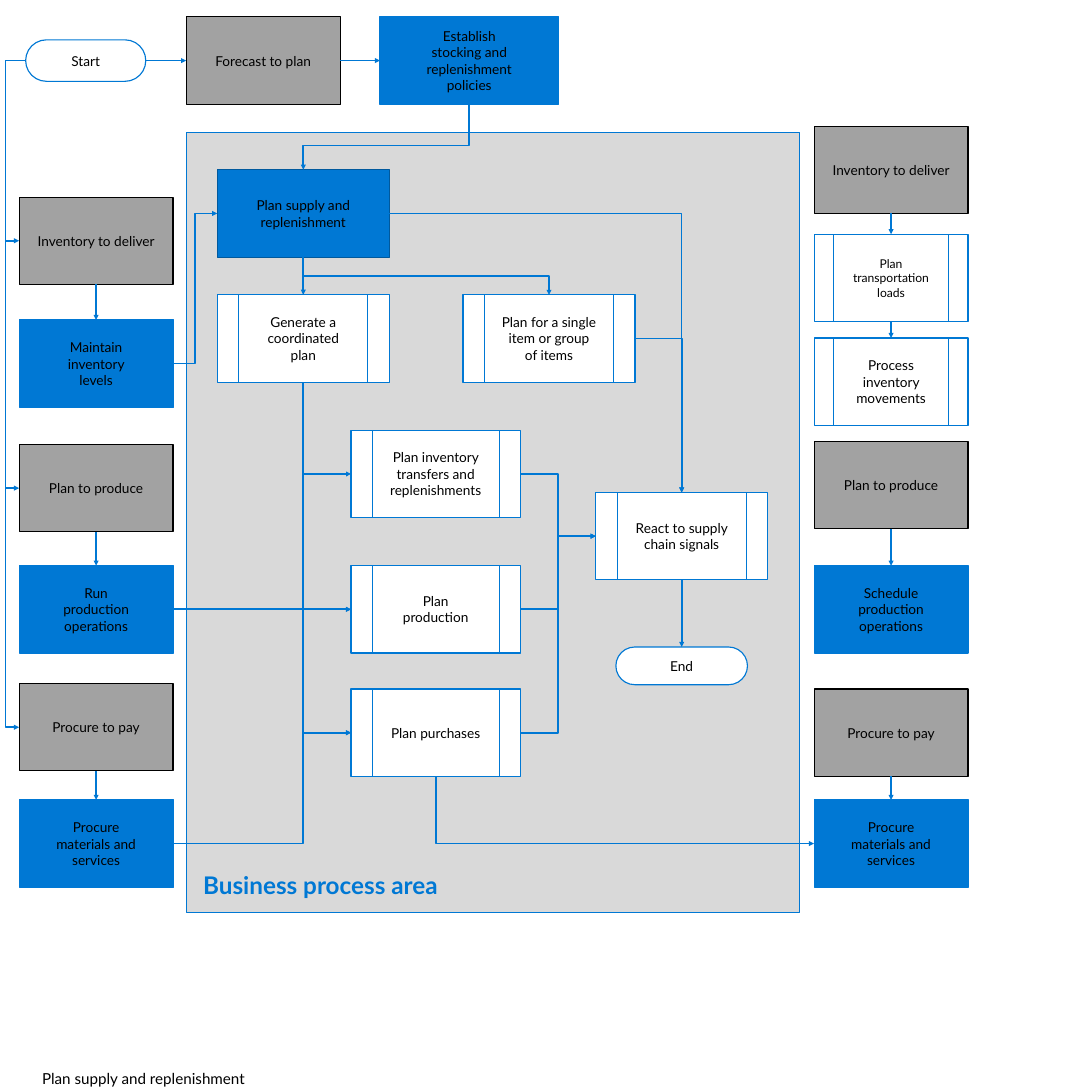
from lxml import etree
from pptx import Presentation, util as u
from pptx.dml.color import RGBColor
from pptx.enum import shapes, text
from pptx.oxml.ns import qn

BLUE = RGBColor(0x00, 0x78, 0xD4)
DARK_BLUE = RGBColor(0x00, 0x59, 0x9D)
GRAY = RGBColor(0xA2, 0xA2, 0xA2)
LIGHT_GRAY = RGBColor(0xD9, 0xD9, 0xD9)
WHITE = RGBColor(0xFF, 0xFF, 0xFF)
BLACK = RGBColor(0x00, 0x00, 0x00)

FONT = "Lato"
SIDE = 20
ROW_HEIGHT = 1.6
TOP, LEFT, BOTTOM, RIGHT = range(4)

# Column: left edge and width in inches
COLUMNS = {
    "left": (0.35, 2.82),
    "start": (0.47, 2.2),
    "forecast": (3.41, 2.82),
    "policies": (6.96, 3.27),
    "supply": (3.98, 3.15),
    "plans": (6.43, 3.1),
    "single": (8.48, 3.15),
    "react": (10.91, 3.15),
    "end": (11.28, 2.41),
    "right": (14.91, 2.82),
}

PROCESS = shapes.MSO_SHAPE.FLOWCHART_PREDEFINED_PROCESS
# Kind: preset shape, fill, line
KINDS = {
    "terminal": (shapes.MSO_SHAPE.ROUNDED_RECTANGLE, WHITE, BLUE),
    "area": (shapes.MSO_SHAPE.RECTANGLE, LIGHT_GRAY, BLUE),
    "scenario": (shapes.MSO_SHAPE.RECTANGLE, GRAY, BLACK),
    "current": (shapes.MSO_SHAPE.RECTANGLE, BLUE, DARK_BLUE),
    "linked": (PROCESS, BLUE, BLUE),
    "process": (PROCESS, WHITE, BLUE),
}

CAPTION = "Plan supply and replenishment"
AREA = ("Business process area", (3.42, 2.42, 11.23, 14.3))

# Key: column, top, kind, wording
STEPS = {
    "start": ("start", 0.73, "terminal", "Start"),
    "forecast": ("forecast", 0.31, "scenario", "Forecast to plan"),
    "policies": ("policies", 0.31, "linked", "Establish stocking and replenishment policies"),
    "supply": ("supply", 3.11, "current", "Plan supply and replenishment"),
    "generate": ("supply", 5.4, "process", "Generate a coordinated plan"),
    "single": ("single", 5.4, "process", "Plan for a single item or group of items"),
    "transfers": ("plans", 7.88, "process", "Plan inventory transfers and replenishments"),
    "production": ("plans", 10.36, "process", "Plan production"),
    "purchases": ("plans", 12.62, "process", "Plan purchases"),
    "react": ("react", 9.02, "process", "React to supply chain signals"),
    "end": ("end", 11.85, "terminal", "End"),
    "deliver in": ("left", 3.61, "scenario", "Inventory to deliver"),
    "maintain": ("left", 5.86, "linked", "Maintain inventory levels"),
    "produce in": ("left", 8.14, "scenario", "Plan to produce"),
    "run": ("left", 10.36, "linked", "Run production operations"),
    "procure in": ("left", 12.52, "scenario", "Procure to pay"),
    "materials in": ("left", 14.65, "linked", "Procure materials and services"),
    "deliver out": ("right", 2.31, "scenario", "Inventory to deliver"),
    "loads": ("right", 4.29, "process", "Plan transportation loads"),
    "movements": ("right", 6.19, "process", "Process inventory movements"),
    "produce out": ("right", 8.08, "scenario", "Plan to produce"),
    "schedule": ("right", 10.36, "linked", "Schedule production operations"),
    "procure out": ("right", 12.62, "scenario", "Procure to pay"),
    "materials out": ("right", 14.65, "linked", "Procure materials and services"),
}
HEIGHTS = {"start": 0.76, "end": 0.69}
FONT_SIZES = {"loads": 16}

# Leaving side, arriving side: pairs of steps
FLOWS = {
    (RIGHT, LEFT): [
        ("start", "forecast"), ("forecast", "policies"), ("maintain", "supply"),
        ("run", "production"), ("materials in", "purchases"),
        ("transfers", "react"), ("production", "react"), ("purchases", "react"),
    ],
    (LEFT, LEFT): [("start", "deliver in"), ("start", "produce in"), ("start", "procure in")],
    (BOTTOM, TOP): [
        ("policies", "supply"), ("supply", "generate"), ("supply", "single"),
        ("deliver in", "maintain"), ("produce in", "run"), ("procure in", "materials in"),
        ("deliver out", "loads"), ("loads", "movements"), ("produce out", "schedule"),
        ("procure out", "materials out"), ("react", "end"),
    ],
    (BOTTOM, LEFT): [
        ("generate", "transfers"), ("generate", "production"), ("generate", "purchases"),
        ("purchases", "materials out"),
    ],
    (RIGHT, TOP): [("single", "react"), ("supply", "react")],
}
# Where the middle leg of an elbow lies, as a share of the way
BENDS = {
    ("start", "deliver in"): 3.07, ("start", "produce in"): 3.07, ("start", "procure in"): 3.07,
    ("policies", "supply"): 0.63, ("materials in", "purchases"): 0.73,
}


def apply(target, values):
    for name, value in values.items():
        setattr(target, name, value)


def write(shape, wording, size, color, bold, alignment, anchor, insets=(0.3, 0.24)):
    frame = shape.text_frame
    across, down = map(u.Inches, insets)
    apply(frame, dict(text=wording, word_wrap=True, vertical_anchor=anchor,
                      margin_left=across, margin_right=across, margin_top=down, margin_bottom=down))
    paragraph = frame.paragraphs[0]
    paragraph.alignment = alignment
    apply(paragraph.runs[0].font, dict(name=FONT, size=u.Pt(size), bold=bold))
    paragraph.runs[0].font.color.rgb = color


def add_box(slide, kind, place):
    preset, fill, line = KINDS[kind]
    shape = slide.shapes.add_shape(preset, *map(u.Inches, place))
    shape.shadow.inherit = False
    shape.fill.solid()
    shape.fill.fore_color.rgb = fill
    shape.line.color.rgb = line
    shape.line.width = u.Pt(1.5)
    if kind == "terminal":
        shape.adjustments[0] = 0.5
    return shape


def side_point(shape, side):
    across, down = {TOP: (1, 0), LEFT: (0, 1), BOTTOM: (1, 2), RIGHT: (2, 1)}[side]
    return shape.left + shape.width * across // 2, shape.top + shape.height * down // 2


def turn_downward(connector, xfrm, begin, end):
    """Rotate an elbow a quarter turn so that it leaves its first step downward."""
    run, drop = end[0] - begin[0], end[1] - begin[1]
    apply(connector, dict(left=(begin[0] + end[0] - drop) // 2,
                          top=(begin[1] + end[1] - abs(run)) // 2,
                          width=drop, height=abs(run)))
    xfrm.attrib.pop("flipH", None)
    xfrm.set("rot", str(90 * 60000))
    xfrm.set("flipV", "1" if run > 0 else "0")


def add_flow(slide, source, target, leave, arrive, bend):
    begin, end = side_point(source, leave), side_point(target, arrive)
    straight = min(abs(end[0] - begin[0]), abs(end[1] - begin[1])) < u.Inches(0.03)
    kind = shapes.MSO_CONNECTOR.STRAIGHT if straight else shapes.MSO_CONNECTOR.ELBOW
    connector = slide.shapes.add_connector(kind, *begin, *end)
    connector.begin_connect(source, leave)
    connector.end_connect(target, arrive)
    connector.line.color.rgb = BLUE
    connector.line.width = u.Pt(2.25)
    properties = connector._element.spPr
    etree.SubElement(connector.line._get_or_add_ln(), qn("a:tailEnd"), type="triangle")
    etree.SubElement(properties, qn("a:effectLst"))
    if straight:
        return
    geometry = properties.find(qn("a:prstGeom"))
    if (leave in (LEFT, RIGHT)) != (arrive in (LEFT, RIGHT)):
        geometry.set("prst", "bentConnector2")
    else:
        etree.SubElement(geometry.find(qn("a:avLst")), qn("a:gd"),
                         name="adj1", fmla=f"val {round(bend * 100000)}")
    if leave == BOTTOM:
        turn_downward(connector, properties.find(qn("a:xfrm")), begin, end)


def main():
    presentation = Presentation()
    presentation.slide_width = presentation.slide_height = u.Inches(SIDE)
    slide = presentation.slides.add_slide(presentation.slide_layouts[5])

    caption = slide.shapes.title
    apply(caption, dict(left=u.Inches(0.77), top=u.Inches(19.58),
                        width=u.Inches(3.81), height=u.Inches(0.34)))
    write(caption, CAPTION, 20, BLACK, False, text.PP_ALIGN.LEFT, text.MSO_ANCHOR.TOP, (0, 0))
    apply(caption.text_frame, dict(word_wrap=False, auto_size=text.MSO_AUTO_SIZE.SHAPE_TO_FIT_TEXT))

    wording, place = AREA
    write(add_box(slide, "area", place), wording, 32, BLUE, True,
          text.PP_ALIGN.LEFT, text.MSO_ANCHOR.BOTTOM)

    boxes = {}
    for key, (column, top, kind, wording) in STEPS.items():
        left, width = COLUMNS[column]
        boxes[key] = add_box(slide, kind, (left, top, width, HEIGHTS.get(key, ROW_HEIGHT)))
        write(boxes[key], wording, FONT_SIZES.get(key, 18), BLACK, False,
              text.PP_ALIGN.CENTER, text.MSO_ANCHOR.MIDDLE)

    for (leave, arrive), pairs in FLOWS.items():
        for source, target in pairs:
            add_flow(slide, boxes[source], boxes[target], leave, arrive,
                     BENDS.get((source, target), 0.5))

    presentation.save("out.pptx")


if __name__ == "__main__":
    main()
